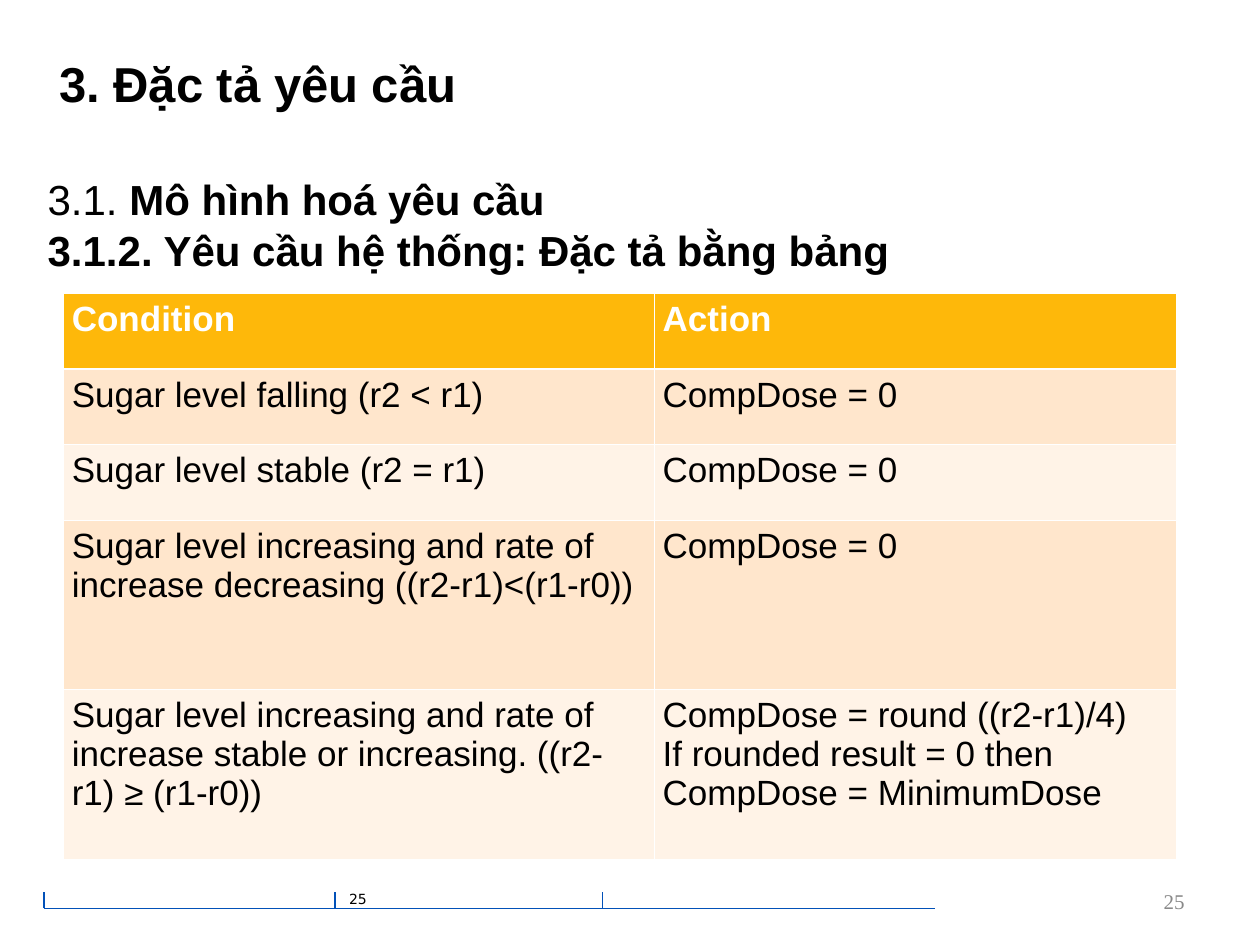
from dataclasses import dataclass

from lxml import etree
from pptx import Presentation, util as u
from pptx.dml.color import RGBColor
from pptx.enum import shapes, text
from pptx.oxml import ns

BLACK = RGBColor(0, 0, 0)
WHITE = RGBColor(255, 255, 255)
GRAY = RGBColor(0x89, 0x89, 0x89)
BLUE = RGBColor(0x02, 0x51, 0xB8)
GOLD = RGBColor(0xFE, 0xB8, 0x0A)
PEACH = RGBColor(0xFF, 0xE6, 0xCC)
CREAM = RGBColor(0xFF, 0xF3, 0xE7)


@dataclass(frozen=True)
class Style:
    size: float
    color: RGBColor = BLACK
    bold: bool = False
    face: str = "Arial"


@dataclass(frozen=True)
class Box:
    left: float
    top: float
    width: float
    height: float

    def place(self) -> tuple:
        return tuple(u.Inches(n) for n in (self.left, self.top, self.width, self.height))


HEAD = Style(20, WHITE, True)
CELL = Style(20)
PLAIN = Style(24)
STRONG = Style(24, bold=True)

ROWS = [
    (0.6, "Condition", "Action"),
    (0.6, "Sugar level falling (r2 < r1)", "CompDose = 0"),
    (0.6, "Sugar level stable (r2 = r1)", "CompDose = 0"),
    (1.34, "Sugar level increasing and rate of increase decreasing ((r2-r1)<(r1-r0))",
     "CompDose = 0"),
    (1.35, "Sugar level increasing and rate of increase stable or increasing. "
     "((r2-r1) ≥ (r1-r0))",
     "CompDose = round ((r2-r1)/4)\nIf rounded result = 0 then\nCompDose = MinimumDose"),
]
COLS = (4.69, 4.15)


def write(frame, lines: list, inset: tuple = (0.1, 0.05),
          align=text.PP_ALIGN.LEFT, anchor=text.MSO_ANCHOR.TOP) -> None:
    frame.word_wrap = True
    frame.vertical_anchor = anchor
    frame.margin_left = frame.margin_right = u.Inches(inset[0])
    frame.margin_top = frame.margin_bottom = u.Inches(inset[1])
    for i, line in enumerate(lines):
        para = frame.add_paragraph() if i else frame.paragraphs[0]
        para.alignment = align
        for words, style in line:
            run = para.add_run()
            run.text = words
            font = run.font
            font.size = u.Pt(style.size)
            font.name = style.face
            font.bold = style.bold
            font.color.rgb = style.color


def label(slide, box: Box, lines: list, **opts):
    shape = slide.shapes.add_textbox(*box.place())
    write(shape.text_frame, lines, **opts)
    return shape


def rule(slide, x1: float, y1: float, x2: float, y2: float) -> None:
    line = slide.shapes.add_connector(
        shapes.MSO_CONNECTOR.STRAIGHT, *(u.Inches(n) for n in (x1, y1, x2, y2)))
    line.line.color.rgb = BLUE
    line.line.width = u.Pt(0.75)
    etree.SubElement(line._element.spPr, ns.qn("a:effectLst"))


def border(cell, row: int) -> None:
    props = cell._tc.get_or_add_tcPr()
    thick = {(0, "B"), (1, "T")}
    for i, side in enumerate("LRTB"):
        width = u.Pt(1.47 if (row, side) in thick else 0.45)
        edge = etree.Element(ns.qn(f"a:ln{side}"), w=str(int(width)))
        fill = etree.SubElement(edge, ns.qn("a:solidFill"))
        etree.SubElement(fill, ns.qn("a:srgbClr"), val=str(WHITE))
        props.insert(i, edge)


def grid(slide, box: Box) -> None:
    table = slide.shapes.add_table(len(ROWS), len(COLS), *box.place()).table
    for col, width in zip(table.columns, COLS):
        col.width = u.Inches(width)
    for r, (height, *words) in enumerate(ROWS):
        table.rows[r].height = u.Inches(height)
        for c, value in enumerate(words):
            cell = table.cell(r, c)
            cell.fill.solid()
            cell.fill.fore_color.rgb = GOLD if r == 0 else PEACH if r % 2 else CREAM
            cell.margin_left = cell.margin_right = u.Inches(0.07)
            style = CELL if r else HEAD
            write(cell.text_frame, [[(part, style)] for part in value.split("\n")], (0.07, 0.05))
            cell.vertical_anchor = text.MSO_ANCHOR.TOP
            border(cell, r)


def main() -> None:
    deck = Presentation()
    deck.slide_width, deck.slide_height = u.Inches(10), u.Inches(7.5)
    slide = deck.slides.add_slide(deck.slide_layouts[5])

    rule(slide, 7.42, 7.21, 0.35, 7.21)
    for x in (0.35, 2.66, 4.78):
        rule(slide, x, 7.21, x, 7.08)
    label(slide, Box(2.73, 7.03, 1.25, 0.25),
          [[("25", Style(8, face="DejaVu Sans"))]], inset=(0.04, 0.04))

    title = slide.shapes.title
    title.left, title.top, title.width, title.height = Box(0.47, 0.23, 9, 0.85).place()
    write(title.text_frame, [[("3. Đặc tả yêu cầu", Style(28, bold=True))]],
          inset=(0, 0), anchor=text.MSO_ANCHOR.MIDDLE)

    label(slide, Box(7.17, 6.95, 2.33, 0.4),
          [[("25", Style(12, GRAY, face="Times New Roman"))]],
          align=text.PP_ALIGN.RIGHT, anchor=text.MSO_ANCHOR.MIDDLE)
    grid(slide, Box(0.5, 2.33, sum(COLS), sum(row[0] for row in ROWS)))
    topic = label(slide, Box(0.28, 1.33, 9.22, 0.9), [
        [("3.1. ", PLAIN), ("Mô hình hoá yêu cầu", STRONG)],
        [("3.1.2. Yêu cầu hệ thống: Đặc tả bằng bảng", STRONG)],
    ])
    topic.text_frame.auto_size = text.MSO_AUTO_SIZE.SHAPE_TO_FIT_TEXT
    deck.save("out.pptx")


if __name__ == "__main__":
    main()
